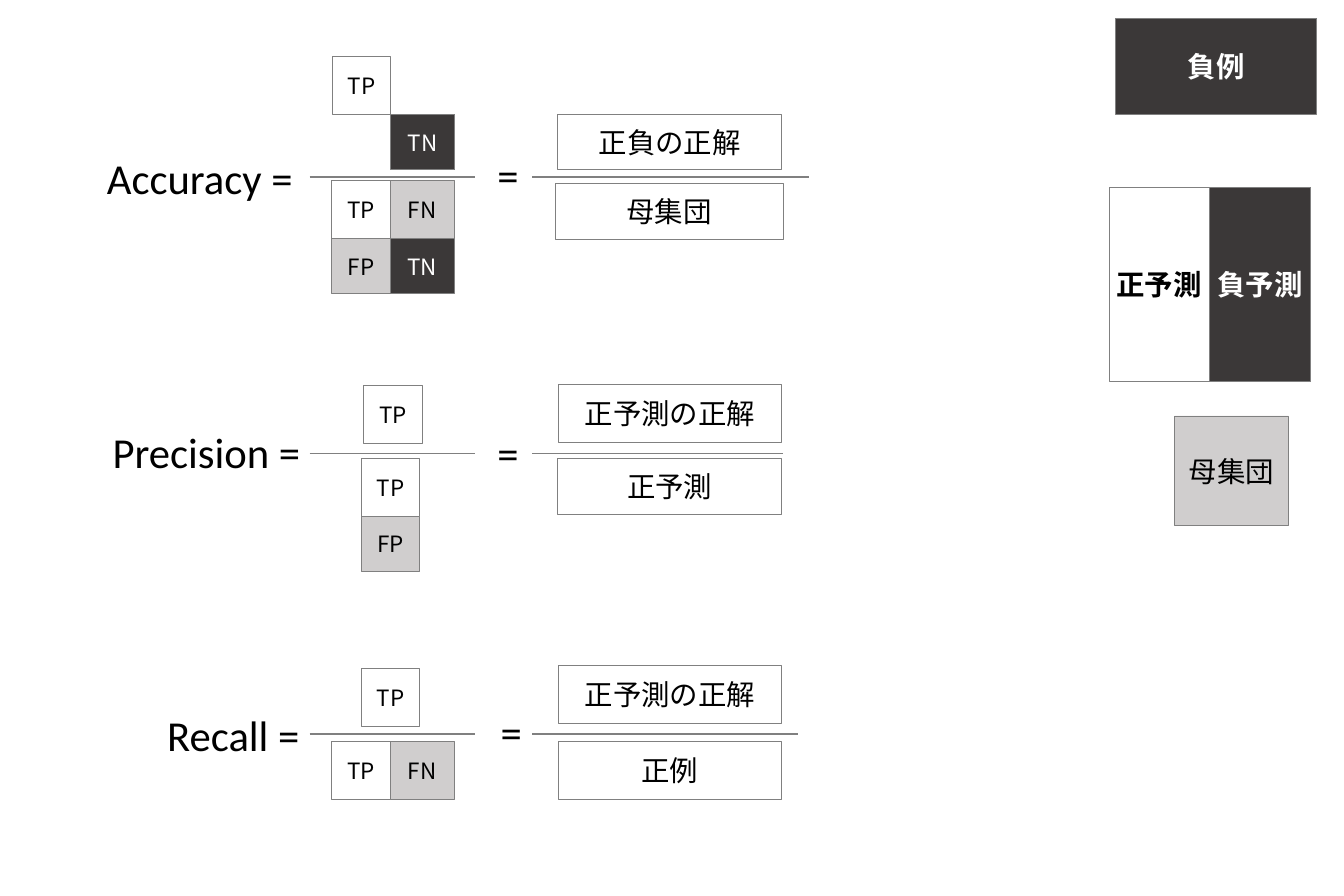
import pptx
import pptx.util
import pptx.dml.color
import pptx.enum.shapes
import pptx.enum.text
import pptx.oxml.ns
import lxml.etree

Pt = pptx.util.Pt
qn = pptx.oxml.ns.qn

COLORS = {"white": "FFFFFF", "dark": "3B3838", "pale": "D0CECE",
          "line": "808080", "black": "000000"}
JAPANESE, LATIN = "Noto Sans CJK JP", "Calibri"
OUTCOME_FILLS = {"TP": "white", "FN": "pale", "FP": "pale", "TN": "dark"}
COLUMN_WIDTHS, ROW_HEIGHTS = (74, 81), (73.5, 70)


def rgb(name):
    return pptx.dml.color.RGBColor.from_string(COLORS[name])


def write(shape, text, size, font_name, color="black", bold=False):
    paragraph = shape.text_frame.paragraphs[0]
    paragraph.text = text
    font = paragraph.font
    font.size, font.name, font.bold = Pt(size), font_name, bold
    font.color.rgb = rgb(color)
    east_asian = lxml.etree.SubElement(font._element, qn("a:ea"))
    east_asian.set("typeface", font_name)
    return paragraph


def add_tile(slide, box, text, fill="white", size=36, bold=False):
    tile = slide.shapes.add_shape(
        pptx.enum.shapes.MSO_SHAPE.RECTANGLE, *map(Pt, box))
    tile.shadow.inherit = False
    tile.fill.solid()
    tile.fill.fore_color.rgb = rgb(fill)
    tile.line.color.rgb = rgb("line")
    tile.line.width = Pt(1)
    tile.text_frame.word_wrap = True
    tile.text_frame.vertical_anchor = pptx.enum.text.MSO_ANCHOR.MIDDLE
    color = "white" if fill == "dark" else "black"
    paragraph = write(tile, text, size, JAPANESE, color, bold)
    paragraph.alignment = pptx.enum.text.PP_ALIGN.CENTER


def add_label(slide, box, text):
    label = slide.shapes.add_textbox(*map(Pt, box))
    label.text_frame.word_wrap = True
    write(label, text, 54, LATIN)


def add_fraction_bar(slide, left, y, length):
    bar = slide.shapes.add_connector(
        pptx.enum.shapes.MSO_CONNECTOR.STRAIGHT,
        Pt(left), Pt(y), Pt(left + length), Pt(y))
    bar.line.color.rgb = rgb("line")
    bar.line.width = Pt(2)
    lxml.etree.SubElement(bar._element.spPr, qn("a:effectLst"))


def add_outcomes(slide, left, top, rows):
    """Confusion-matrix cells; None leaves a cell empty."""
    for r, row in enumerate(rows):
        for c, outcome in enumerate(row):
            if outcome:
                box = (left + sum(COLUMN_WIDTHS[:c]), top + sum(ROW_HEIGHTS[:r]),
                       COLUMN_WIDTHS[c], ROW_HEIGHTS[r])
                add_tile(slide, box, outcome, OUTCOME_FILLS[outcome], 28.4)


def add_metric(slide, left, bar_y, metric):
    """One equation, placed from the left end of its first fraction bar."""
    # Name and equals sign
    name, name_x, name_y, name_width = metric["name"]
    add_label(slide, (left + name_x, bar_y + name_y, name_width, 73), name)
    equals_x, equals_y = metric["equals"]
    add_label(slide, (left + equals_x, bar_y + equals_y, 60, 73), "=")
    # Both fraction bars
    add_fraction_bar(slide, left, bar_y, 209.5)
    add_fraction_bar(slide, left + 282, bar_y, metric["bar"])
    # Fraction of outcomes, then the same fraction in words
    for x, y, rows in metric["outcomes"]:
        add_outcomes(slide, left + x, bar_y + y, rows)
    for text, x, y, width, height in metric["words"]:
        add_tile(slide, (left + x, bar_y + y, width, height), text)


def add_legend(slide, left, top):
    # Negative cases
    add_tile(slide, (left + 8, top, 255, 121.5), "負例", "dark", bold=True)
    # Predictions, side by side
    for i, (text, fill) in enumerate((("正予測", "white"), ("負予測", "dark"))):
        add_tile(slide, (left + i * 127, top + 214, 127 + i, 246), text, fill, bold=True)
    # Population
    add_tile(slide, (left + 83, top + 503.5, 144, 139), "母集団", "pale")


METRICS = {
    224: {"name": ("Accuracy =", -263.5, -36, 352), "equals": (230.5, -39), "bar": 350,
          "outcomes": [(28.8, -152.6, [["TP", None], [None, "TN"]]),
                       (28, 4.3, [["TP", "FN"], ["FP", "TN"]])],
          "words": [("正負の正解", 314, -79, 283.5, 70), ("母集団", 311, 8.6, 288, 70)]},
    574: {"name": ("Precision =", -256.3, -39, 352), "equals": (230.5, -37), "bar": 317,
          "outcomes": [(68.4, -86.4, [["TP"]]), (65.5, 5.7, [["TP"], ["FP"]])],
          "words": [("正予測の正解", 314.6, -88, 283, 74), ("正予測", 314, 5.7, 283.5, 72)]},
    929: {"name": ("Recall =", -187.2, -36, 255), "equals": (234.7, -39), "bar": 335.5,
          "outcomes": [(65.5, -83.6, [["TP"]]), (28, 9.3, [["TP", "FN"]])],
          "words": [("正予測の正解", 314.6, -86.5, 283, 73), ("正例", 314.6, 9.3, 283, 73.5)]},
}

presentation = pptx.Presentation()
presentation.slide_width, presentation.slide_height = Pt(1700.64), Pt(1134)
slide = presentation.slides.add_slide(presentation.slide_layouts[6])
for bar_y, metric in METRICS.items():
    add_metric(slide, 391.7, bar_y, metric)
add_legend(slide, 1403.3, 23)
presentation.save("out.pptx")
